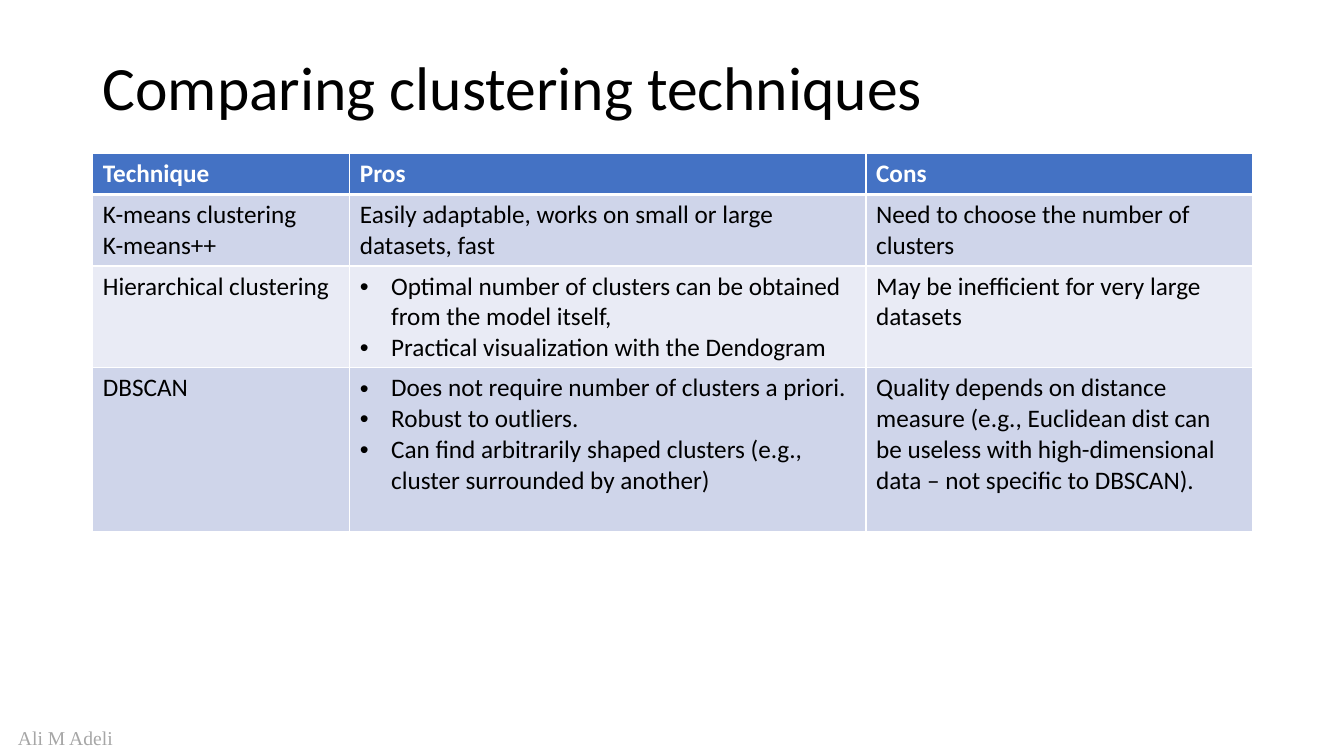
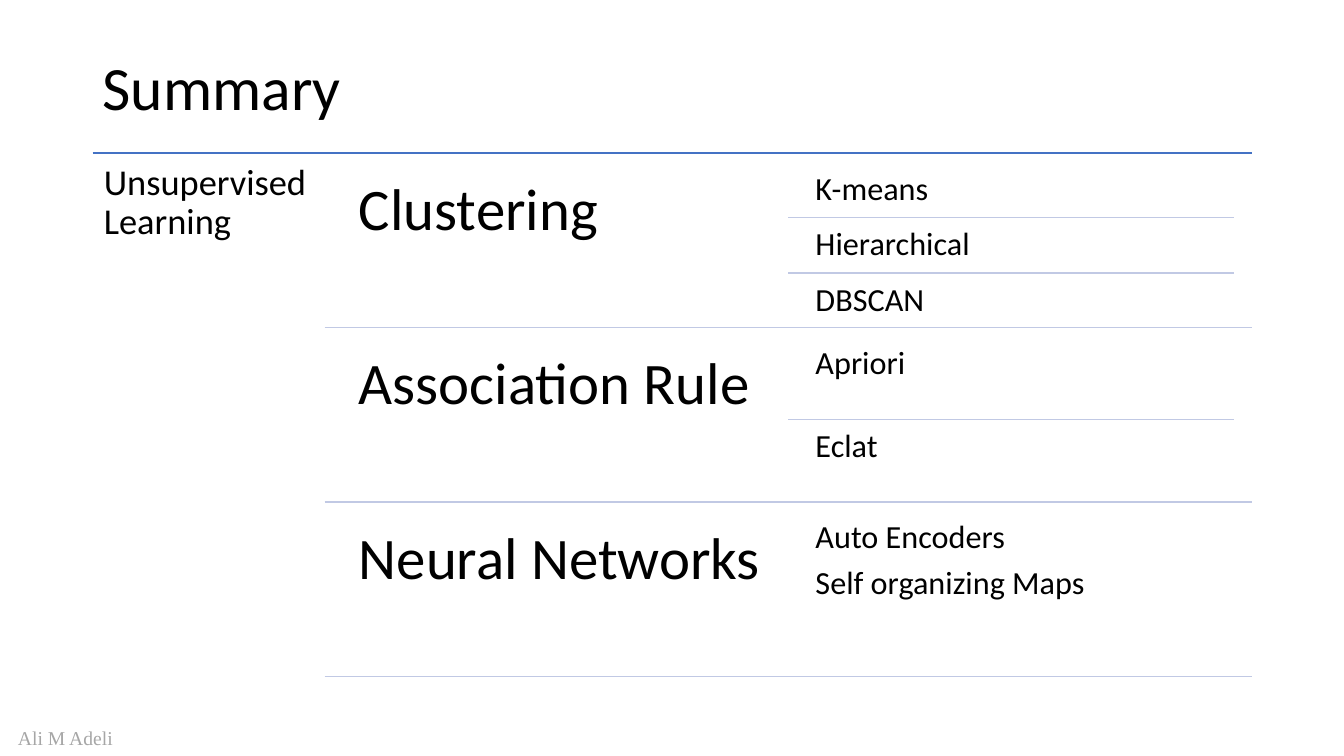
from lxml import etree
from pptx import Presentation
from pptx import util as u
from pptx.dml.color import RGBColor
from pptx.enum import shapes, text
from pptx.oxml import ns

PX = 9144  # EMU per px, 100 px to the inch
BLACK, WHITE, GREY = "000000", "FFFFFF", "A6A6A6"
BLUE, PALE_BLUE = "4472C4", "C1C9E4"
BANDS = ("CFD5EA", "E9EBF5")
LEFT, TOP, RIGHT = 92, 152, 1242


def px(n):
    return u.Emu(n * PX)


def rgb(color):
    return RGBColor.from_string(color)


def sub(parent, tag, **attrs):
    return etree.SubElement(parent, ns.qn(tag), attrs)


class Deck:
    """Holds the shared style and the current slide."""

    font = "Calibri"

    def __init__(self):
        self.prs = Presentation()
        self.prs.slide_width, self.prs.slide_height = px(1333), px(750)
        self.s = None

    def slide(self, title):
        self.s = self.prs.slides.add_slide(self.prs.slide_layouts[6])
        self.text("Ali M Adeli", 8, 715, 147, 34, 14, GREY, font="Times New Roman")
        self.text(title, LEFT, 40, RIGHT - LEFT, 100, 44, spacing=0.9,
                  anchor=text.MSO_ANCHOR.MIDDLE)

    def fill_text(self, tf, lines, size, color, font=None, bold=False,
                  bullets=False, spacing=None, after=None):
        for i, line in enumerate(lines):
            p = tf.paragraphs[0] if i == 0 else tf.add_paragraph()
            p.text = line
            if bullets:
                pPr = p._p.get_or_add_pPr()
                pPr.set("marL", str(px(31)))
                pPr.set("indent", str(px(-31)))
                sub(pPr, "a:buFont", typeface="Arial")
                sub(pPr, "a:buChar", char="•")
            if spacing:
                p.line_spacing = spacing
            if after:
                p.space_after = u.Pt(after)
            p.font.name, p.font.size = font or self.font, u.Pt(size)
            p.font.bold = bold
            p.font.color.rgb = rgb(color)

    def text(self, content, x, y, w, h, size, color=BLACK, inset=None,
             anchor=text.MSO_ANCHOR.TOP, **style):
        tf = self.s.shapes.add_textbox(px(x), px(y), px(w), px(h)).text_frame
        tf.word_wrap = True
        tf.vertical_anchor = anchor
        if inset is not None:
            tf.margin_left = tf.margin_right = px(inset)
            tf.margin_top = tf.margin_bottom = px(inset)
        self.fill_text(tf, content.split("\n"), size, color, **style)

    def rule(self, x1, x2, y, color=PALE_BLUE):
        line = self.s.shapes.add_connector(
            shapes.MSO_CONNECTOR.STRAIGHT, px(x1), px(y), px(x2), px(y))
        line.line.color.rgb = rgb(color)
        line.line.width = u.Pt(1)
        sub(line._element.spPr, "a:effectLst")

    def borders(self, cell, top, bottom):
        tcPr = cell._tc.get_or_add_tcPr()
        sides = (("L", 1), ("R", 1), ("T", top), ("B", bottom))
        for i, (side, width) in enumerate(sides):
            ln = sub(tcPr, f"a:ln{side}", w=str(u.Pt(width)))
            sub(sub(ln, "a:solidFill"), "a:srgbClr", val=WHITE)
            tcPr.insert(i, ln)  # borders come before the fill

    def table(self, x, y, widths, heights, rows):
        """A list in a cell is bulleted; a string is plain lines."""
        t = self.s.shapes.add_table(len(rows), len(widths), px(x), px(y),
                                    px(sum(widths)), px(sum(heights))).table
        for col, w in zip(t.columns, widths):
            col.width = px(w)
        for r, (row, h) in enumerate(zip(rows, heights)):
            t.rows[r].height = px(h)
            head = r == 0
            for c, content in enumerate(row):
                cell = t.cell(r, c)
                cell.fill.solid()
                cell.fill.fore_color.rgb = rgb(BLUE if head else BANDS[(r - 1) % 2])
                self.borders(cell, 3 if r == 1 else 1, 3 if head else 1)
                bullets = isinstance(content, list)
                lines = content if bullets else content.split("\n")
                self.fill_text(cell.text_frame, lines, 18, WHITE if head else BLACK,
                               bold=head, bullets=bullets)


def comparison(d):
    d.slide("Comparing clustering techniques")
    d.table(LEFT, TOP, (255, 512, 383), (41, 71, 101, 162), [
        ("Technique", "Pros", "Cons"),
        ("K-means clustering\nK-means++",
         "Easily adaptable, works on small or large datasets, fast",
         "Need to choose the number of clusters"),
        ("Hierarchical clustering",
         ["Optimal number of clusters can be obtained from the model itself,",
          "Practical visualization with the Dendogram"],
         "May be inefficient for very large datasets"),
        ("DBSCAN",
         ["Does not require number of clusters a priori.",
          "Robust to outliers.",
          "Can find arbitrarily shaped clusters (e.g., cluster surrounded by another)"],
         "Quality depends on distance measure (e.g., Euclidean dist can be useless "
         "with high-dimensional data – not specific to DBSCAN)."),
    ])


def summary(d):
    branches = [
        ("Clustering", ["K-means", "Hierarchical", "DBSCAN"]),
        ("Association Rule", ["Apriori", "Eclat"]),
        ("Neural Networks", ["Auto Encoders\nSelf organizing Maps"]),
    ]
    pitch, gap, height, width = 173, 9, 165, 443
    style = {"spacing": 0.9, "after": 8}

    # Root of the tree
    d.slide("Summary")
    d.rule(LEFT, RIGHT, TOP, BLUE)
    d.text("Unsupervised Learning", LEFT, TOP, 230, 527, 26, inset=11, **style)

    # Branches and their methods
    for i, (name, methods) in enumerate(branches):
        y = TOP + i * pitch + gap
        step = height // len(methods)
        d.text(name, 339, y, width, height, 42, inset=17, **style)
        for j, method in enumerate(methods):
            if j:
                d.rule(782, 1224, y + j * step)
            d.text(method, 799, y + j * step, width, step, 23, inset=10, **style)
        d.rule(322, RIGHT, TOP + (i + 1) * pitch)


def main():
    d = Deck()
    comparison(d)
    summary(d)
    d.prs.save("out.pptx")


if __name__ == "__main__":
    main()
